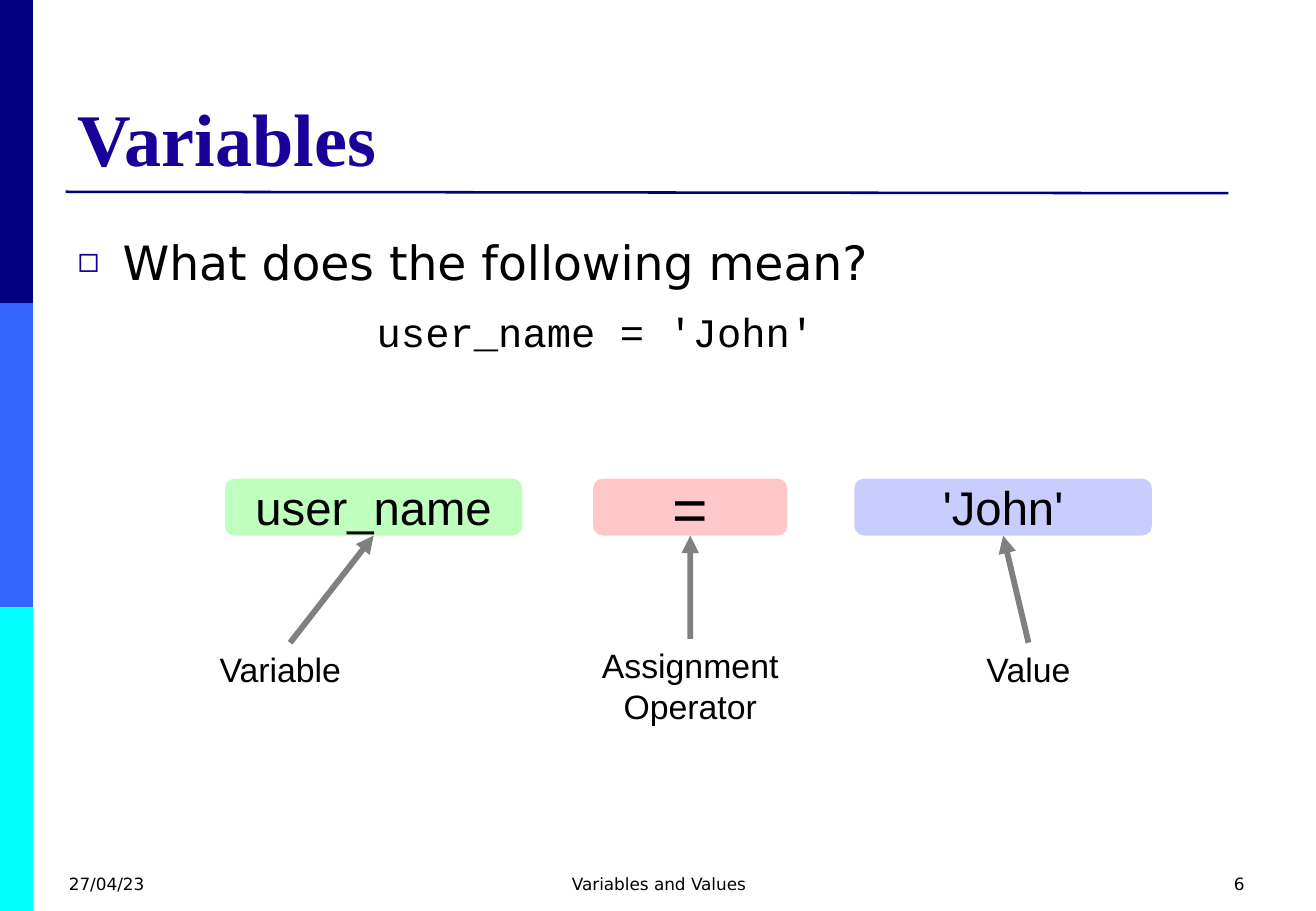
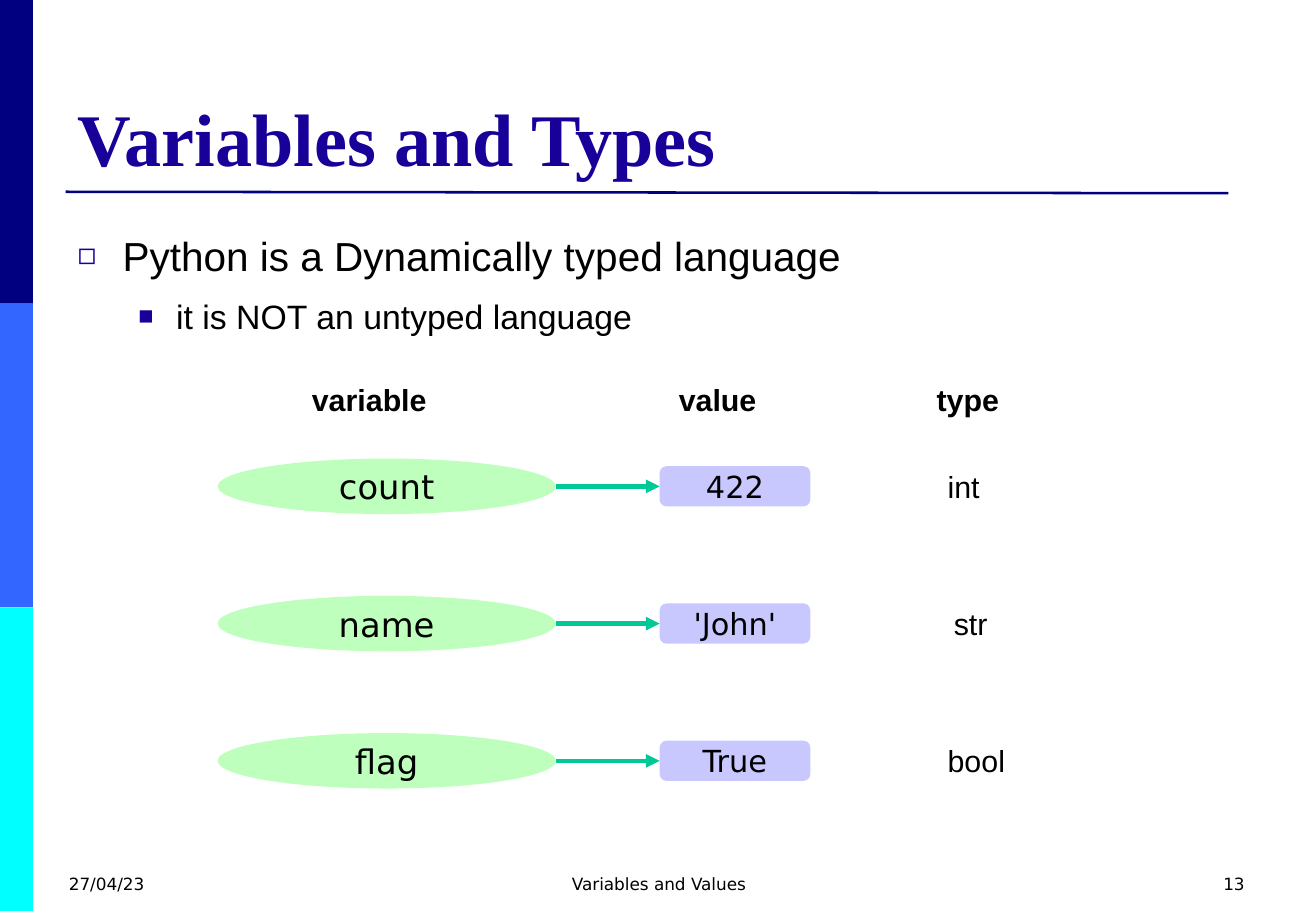
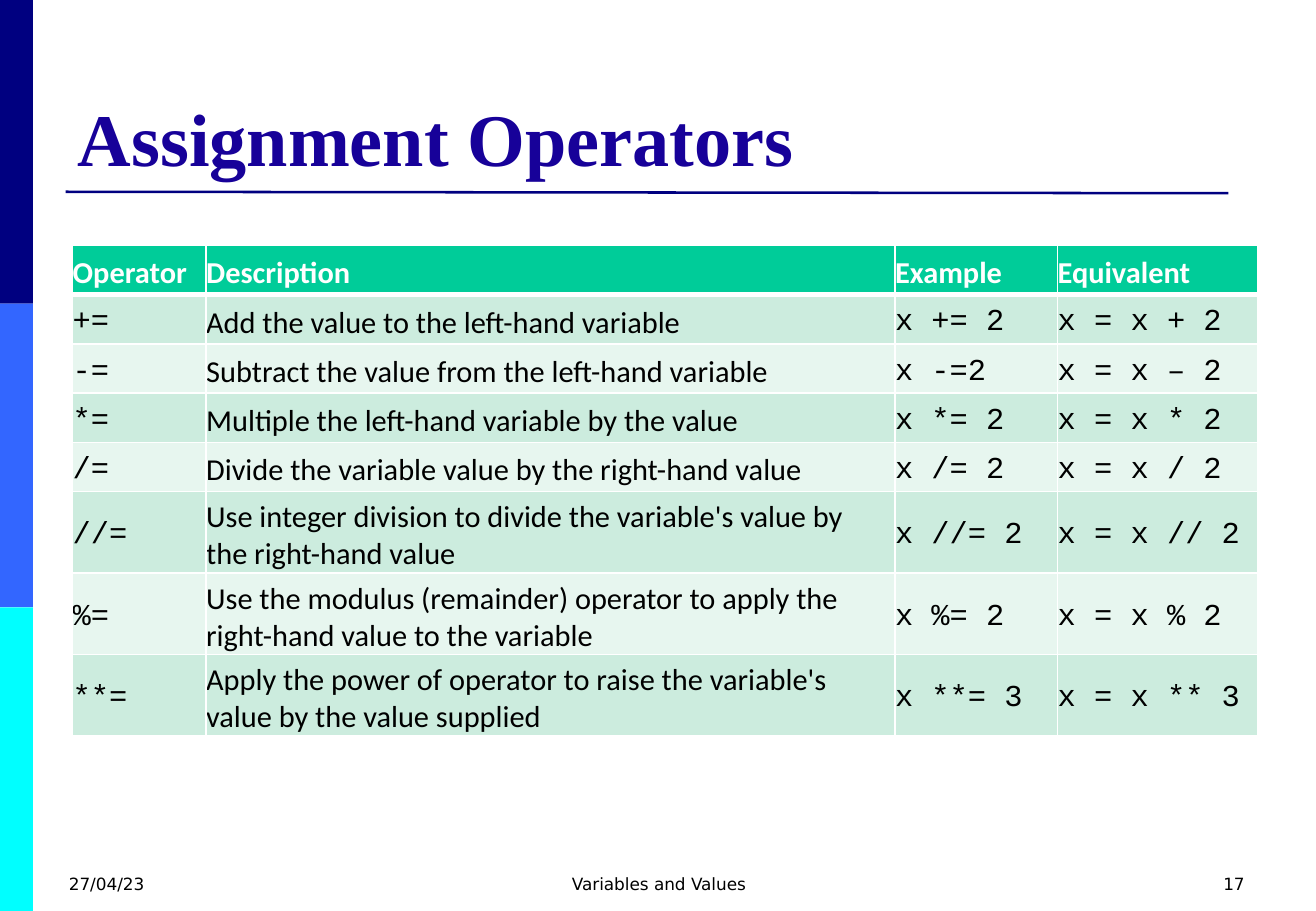
from dataclasses import dataclass

from lxml import etree
from pptx import Presentation
from pptx.dml.color import RGBColor
from pptx.enum.shapes import MSO_CONNECTOR, MSO_SHAPE
from pptx.enum.text import MSO_ANCHOR, MSO_AUTO_SIZE, PP_ALIGN
from pptx.oxml.ns import qn
from pptx.presentation import Presentation as Deck
from pptx.shapes.autoshape import Shape
from pptx.shapes.connector import Connector
from pptx.shapes.shapetree import GroupShapes, SlideShapes
from pptx.slide import Slide
from pptx.table import _Cell
from pptx.text.text import TextFrame, _Paragraph
from pptx.util import Cm, Pt

ELLIPSE = MSO_SHAPE.OVAL
RECTANGLE = MSO_SHAPE.RECTANGLE
ROUNDED = MSO_SHAPE.ROUNDED_RECTANGLE
STRAIGHT = MSO_CONNECTOR.STRAIGHT
LEFT, CENTER, RIGHT = PP_ALIGN.LEFT, PP_ALIGN.CENTER, PP_ALIGN.RIGHT
TOP, MIDDLE, BOTTOM = MSO_ANCHOR.TOP, MSO_ANCHOR.MIDDLE, MSO_ANCHOR.BOTTOM
FIXED_SIZE = MSO_AUTO_SIZE.NONE

NAVY = RGBColor(0x00, 0x00, 0x80)
BLUE = RGBColor(0x33, 0x66, 0xFF)
CYAN = RGBColor(0x00, 0xFF, 0xFF)
INDIGO = RGBColor(0x17, 0x01, 0x99)
BLACK = RGBColor(0x00, 0x00, 0x00)
WHITE = RGBColor(0xFF, 0xFF, 0xFF)
GRAY = RGBColor(0x80, 0x80, 0x80)
PALE_GREEN = RGBColor(0xBE, 0xFF, 0xBE)
PALE_RED = RGBColor(0xFF, 0xC8, 0xC8)
PALE_BLUE = RGBColor(0xC8, 0xCD, 0xFF)
LAVENDER = RGBColor(0xC8, 0xC8, 0xFF)
ARROW_GREEN = RGBColor(0x00, 0xC8, 0x96)
HEADER_GREEN = RGBColor(0x00, 0xCC, 0x99)
BAND_DARK = RGBColor(0xCC, 0xEC, 0xDE)
BAND_LIGHT = RGBColor(0xE7, 0xF6, 0xEF)

TITLE_LAYOUTS = {"list": 1, "table": 5}
CONTENT_LEFT, CONTENT_WIDTH = 1.37, 24.77


@dataclass(frozen=True)
class Style:
    font: str
    size: float
    color: RGBColor = BLACK
    bold: bool = False


@dataclass(frozen=True)
class Area:
    left: float
    top: float
    width: float
    height: float

    def lengths(self) -> tuple[Cm, Cm, Cm, Cm]:
        return Cm(self.left), Cm(self.top), Cm(self.width), Cm(self.height)


@dataclass(frozen=True)
class Item:
    text: str
    style: Style
    margin: float
    hanging: float = 0
    bullet: str = ""
    level: int = 0


@dataclass(frozen=True)
class FooterPart:
    area: Area
    align: PP_ALIGN
    text: str = ""


@dataclass(frozen=True)
class Part:
    text: str
    box: Area
    fill: RGBColor
    size: float
    label: tuple[str, ...]
    label_area: Area
    label_align: PP_ALIGN = CENTER


@dataclass(frozen=True)
class Binding:
    variable: str
    value: str
    type_name: str
    type_left: float = 19.56


TITLE_STYLE = Style("Times New Roman", 44, INDIGO, True)
FOOTER_STYLE = Style("DejaVu Sans", 10)
CODE_STYLE = Style("Courier New", 18)
TABLE_STYLE = Style("Calibri", 18)
HEADER_STYLE = Style("Calibri", 18, WHITE, True)
HEADING_STYLE = Style("Arial", 18, bold=True)

TITLE_AREA = Area(CONTENT_LEFT, 0.76, CONTENT_WIDTH, 3.15)
BODY_AREA = Area(CONTENT_LEFT, 4.45, CONTENT_WIDTH, 12.57)
FOOTER_TOP, FOOTER_HEIGHT = 18.14, 0.91
DATE = FooterPart(Area(1.19, FOOTER_TOP, 6.43, FOOTER_HEIGHT), LEFT, "27/04/23")
TOPIC = FooterPart(Area(9.42, FOOTER_TOP, 8.71, FOOTER_HEIGHT), CENTER, "Variables and Values")
NUMBER = FooterPart(Area(19.84, FOOTER_TOP, 6.43, FOOTER_HEIGHT), RIGHT)

PART_TOP, PART_HEIGHT = 10.01, 1.19
PARTS = (
    Part("user_name", Area(4.7, PART_TOP, 6.22, PART_HEIGHT), PALE_GREEN, 28,
         ("Variable",), Area(4.34, 13.44, 3.45, 1.12), LEFT),
    Part("=", Area(12.4, PART_TOP, 4.06, PART_HEIGHT), PALE_RED, 36,
         ("Assignment", "Operator"), Area(11.89, 13.36, 5.08, 1.96)),
    Part("'John'", Area(17.86, PART_TOP, 6.22, PART_HEIGHT), PALE_BLUE, 28,
         ("Value",), Area(20.19, 13.44, 2.62, 1.12)),
)

BINDINGS = (
    Binding("count", "422", "int"),
    Binding("name", "'John'", "str", 19.69),
    Binding("flag", "True", "bool"),
)
BINDING_FIRST_MIDDLE, BINDING_STEP = 10.17, 2.87
HEADINGS = {
    "variable": Area(6.27, 7.85, 2.95, 1.02),
    "value": Area(13.94, 7.85, 2.16, 1.02),
    "type": Area(19.33, 7.85, 1.83, 1.02),
}

OPERATOR_AREA = Area(1.52, 5.13, 24.77, 8.24)
COLUMN_WIDTHS = (2.79, 14.4, 3.4, 4.18)
COLUMN_STYLES = (CODE_STYLE, TABLE_STYLE, CODE_STYLE, CODE_STYLE)
OPERATORS = (
    ("Operator", "Description", "Example", "Equivalent"),
    ("+=", "Add the value to the left-hand variable", "x += 2", "x = x + 2"),
    ("-=", "Subtract the value from the left-hand variable", "x -=2", "x = x – 2"),
    ("*=", "Multiple the left-hand variable by the value", "x *= 2", "x = x * 2"),
    ("/=", "Divide the variable value by the right-hand value", "x /= 2", "x = x / 2"),
    ("//=", "Use integer division to divide the variable's value by the right-hand value",
     "x //= 2", "x = x // 2"),
    ("%=", "Use the modulus (remainder) operator to apply the right-hand value to the variable",
     "x %= 2", "x = x % 2"),
    ("**=", "Apply the power of operator to raise the variable's value by the value supplied",
     "x **= 3", "x = x ** 3"),
)


def set_values(target: object, values: dict[str, object]) -> None:
    for name, value in values.items():
        setattr(target, name, value)


def add_span(para: _Paragraph, text: str, style: Style) -> None:
    span = para.add_run()
    span.text = text
    set_values(span.font, {"name": style.font, "size": Pt(style.size), "bold": style.bold})
    span.font.color.rgb = style.color


def write_lines(frame: TextFrame, lines: tuple[str, ...], style: Style,
                align: PP_ALIGN = LEFT, anchor: MSO_ANCHOR = TOP, wrap: bool = True) -> None:
    set_values(frame, {"word_wrap": wrap, "auto_size": FIXED_SIZE, "vertical_anchor": anchor})
    for index, line in enumerate(lines):
        para = frame.add_paragraph() if index else frame.paragraphs[0]
        para.alignment = align
        add_span(para, line, style)


def add_label(shapes: SlideShapes | GroupShapes, area: Area, lines: tuple[str, ...],
              style: Style, align: PP_ALIGN = LEFT, wrap: bool = True) -> Shape:
    box = shapes.add_textbox(*area.lengths())
    write_lines(box.text_frame, lines, style, align, wrap=wrap)
    return box


def add_box(shapes: SlideShapes | GroupShapes, kind: MSO_SHAPE, area: Area,
            fill: RGBColor) -> Shape:
    box = shapes.add_shape(kind, *area.lengths())
    box.shadow.inherit = False
    box.fill.solid()
    box.fill.fore_color.rgb = fill
    box.line.fill.background()
    return box


def add_line(shapes: SlideShapes | GroupShapes, start: tuple[float, float],
             end: tuple[float, float], color: RGBColor, width: float,
             arrow: bool = False) -> Connector:
    line = shapes.add_connector(STRAIGHT, *(Cm(value) for value in start + end))
    line.line.color.rgb = color
    line.line.width = Pt(width)
    if arrow:
        etree.SubElement(line.get_or_add_ln(), qn("a:tailEnd"), type="triangle")
    etree.SubElement(line.element.spPr, qn("a:effectLst"))
    return line


def build_master(deck: Deck, slide: Slide) -> None:
    bands = [
        add_box(slide.shapes, RECTANGLE, Area(0, 6.35 * index, 0.69, 6.35), color)
        for index, color in enumerate((NAVY, BLUE, CYAN))
    ]
    rule = add_line(slide.shapes, (CONTENT_LEFT, 4.01), (25.68, 4.04), NAVY, 1.5)
    tree = deck.slide_master.shapes.element
    for index, shape in enumerate([*bands, rule]):
        shape.element.xpath("./*/p:cNvPr")[0].set("id", str(100 + index))
        tree.insert(2 + index, shape.element)


def place(shape: Shape, area: Area) -> None:
    set_values(shape, dict(zip(("left", "top", "width", "height"), area.lengths())))


def add_page(deck: Deck, layout: str, title: str, number: int) -> Slide:
    page = deck.slides.add_slide(deck.slide_layouts[TITLE_LAYOUTS[layout]])
    if len(deck.slides) == 1:
        build_master(deck, page)
    place(page.shapes.title, TITLE_AREA)
    write_lines(page.shapes.title.text_frame, (title,), TITLE_STYLE, anchor=BOTTOM)
    for part in (DATE, TOPIC, NUMBER):
        add_label(page.shapes, part.area, (part.text or str(number),), FOOTER_STYLE, part.align)
    return page


def set_bullet(para: _Paragraph, item: Item) -> None:
    properties = para._p.get_or_add_pPr()
    properties.set("marL", str(Cm(item.margin)))
    properties.set("indent", str(Cm(-item.hanging)))
    if not item.bullet:
        etree.SubElement(properties, qn("a:buNone"))
        return
    color = etree.SubElement(properties, qn("a:buClr"))
    etree.SubElement(color, qn("a:srgbClr"), val=str(INDIGO))
    etree.SubElement(properties, qn("a:buSzPct"), val="75000")
    etree.SubElement(properties, qn("a:buChar"), char=item.bullet)


def fill_body(page: Slide, items: tuple[Item, ...]) -> None:
    body = page.placeholders[1]
    place(body, BODY_AREA)
    frame = body.text_frame
    set_values(frame, {"word_wrap": True, "auto_size": FIXED_SIZE, "vertical_anchor": TOP})
    for index, item in enumerate(items):
        para = frame.add_paragraph() if index else frame.paragraphs[0]
        set_bullet(para, item)
        set_values(para, {
            "level": item.level,
            "alignment": LEFT,
            "line_spacing": 1.15 if item.level else 1.25,
            "space_before": Pt(6 if index else 0),
        })
        add_span(para, item.text, item.style)


def build_variables(deck: Deck) -> None:
    page = add_page(deck, "list", "Variables", 6)
    fill_body(page, (
        Item("What does the following mean?", Style("DejaVu Sans", 28), 0.94, 0.94, "◻"),
        Item("user_name = 'John'", Style("Courier New", 24), 6.25, level=1),
    ))
    for part in PARTS:
        box = add_box(page.shapes, ROUNDED, part.box, part.fill)
        write_lines(box.text_frame, (part.text,), Style("Arial", part.size), CENTER, MIDDLE)
        label = add_label(page.shapes, part.label_area, part.label, Style("Arial", 20),
                          part.label_align)
        arrow = add_line(page.shapes, (0, 0), (0, 0), GRAY, 3.5, arrow=True)
        arrow.begin_connect(label, 0)
        arrow.end_connect(box, 2)


def add_binding(page: Slide, binding: Binding, middle: float) -> None:
    shapes = page.shapes.add_group_shape().shapes
    variable_area = Area(4.55, middle - 0.58, 7.07, 1.16)
    value_area = Area(13.79, middle - 0.42, 3.15, 0.84)
    variable = add_box(shapes, ELLIPSE, variable_area, PALE_GREEN)
    write_lines(variable.text_frame, (binding.variable,), Style("DejaVu Sans", 20),
                CENTER, MIDDLE)
    value = add_box(shapes, ROUNDED, value_area, LAVENDER)
    write_lines(value.text_frame, (binding.value,), Style("DejaVu Sans", 18), CENTER, MIDDLE)
    start = (variable_area.left + variable_area.width, middle)
    arrow = add_line(shapes, start, (value_area.left, middle), ARROW_GREEN, 2.75, arrow=True)
    arrow.end_connect(value, 1)
    add_label(shapes, Area(binding.type_left, middle - 0.51, 1.73, 1.02),
              (binding.type_name,), Style("Arial", 18))


def build_types(deck: Deck) -> None:
    page = add_page(deck, "list", "Variables and Types", 13)
    fill_body(page, (
        Item("Python is a Dynamically typed language", Style("Arial", 24), 0.94, 0.94, "◻"),
        Item("it is NOT an untyped language", Style("Arial", 20), 2.06, 0.79, "■", 1),
    ))
    for index, binding in enumerate(BINDINGS):
        add_binding(page, binding, BINDING_FIRST_MIDDLE + BINDING_STEP * index)
    for text, area in HEADINGS.items():
        add_label(page.shapes, area, (text,), HEADING_STYLE, wrap=False)


def format_cell(cell: _Cell, text: str, style: Style, fill: RGBColor, bottom: float) -> None:
    set_values(cell, {
        "margin_left": Cm(0),
        "margin_top": Cm(0.15),
        "margin_right": Cm(0.15),
        "margin_bottom": Cm(0),
        "vertical_anchor": MIDDLE,
    })
    properties = cell._tc.get_or_add_tcPr()
    for side, width in {"lnL": 1, "lnR": 1, "lnT": 1, "lnB": bottom}.items():
        border = etree.SubElement(properties, qn(f"a:{side}"), w=str(Pt(width)))
        solid = etree.SubElement(border, qn("a:solidFill"))
        etree.SubElement(solid, qn("a:srgbClr"), val=str(WHITE))
    cell.fill.solid()
    cell.fill.fore_color.rgb = fill
    add_span(cell.text_frame.paragraphs[0], text, style)


def build_operators(deck: Deck) -> None:
    page = add_page(deck, "table", "Assignment Operators", 17)
    table = page.shapes.add_table(len(OPERATORS), len(COLUMN_WIDTHS),
                                  *OPERATOR_AREA.lengths()).table
    for column, width in zip(table.columns, COLUMN_WIDTHS):
        column.width = Cm(width)
    for row_index, texts in enumerate(OPERATORS):
        table.rows[row_index].height = Cm(1.03)
        header = row_index == 0
        band = BAND_DARK if row_index % 2 else BAND_LIGHT
        for column_index, text in enumerate(texts):
            format_cell(
                table.cell(row_index, column_index), text,
                HEADER_STYLE if header else COLUMN_STYLES[column_index],
                HEADER_GREEN if header else band,
                3 if header else 1,
            )


def main() -> None:
    deck = Presentation()
    deck.slide_width, deck.slide_height = Cm(27.51), Cm(19.05)
    build_variables(deck)
    build_types(deck)
    build_operators(deck)
    deck.save("out.pptx")


if __name__ == "__main__":
    main()
